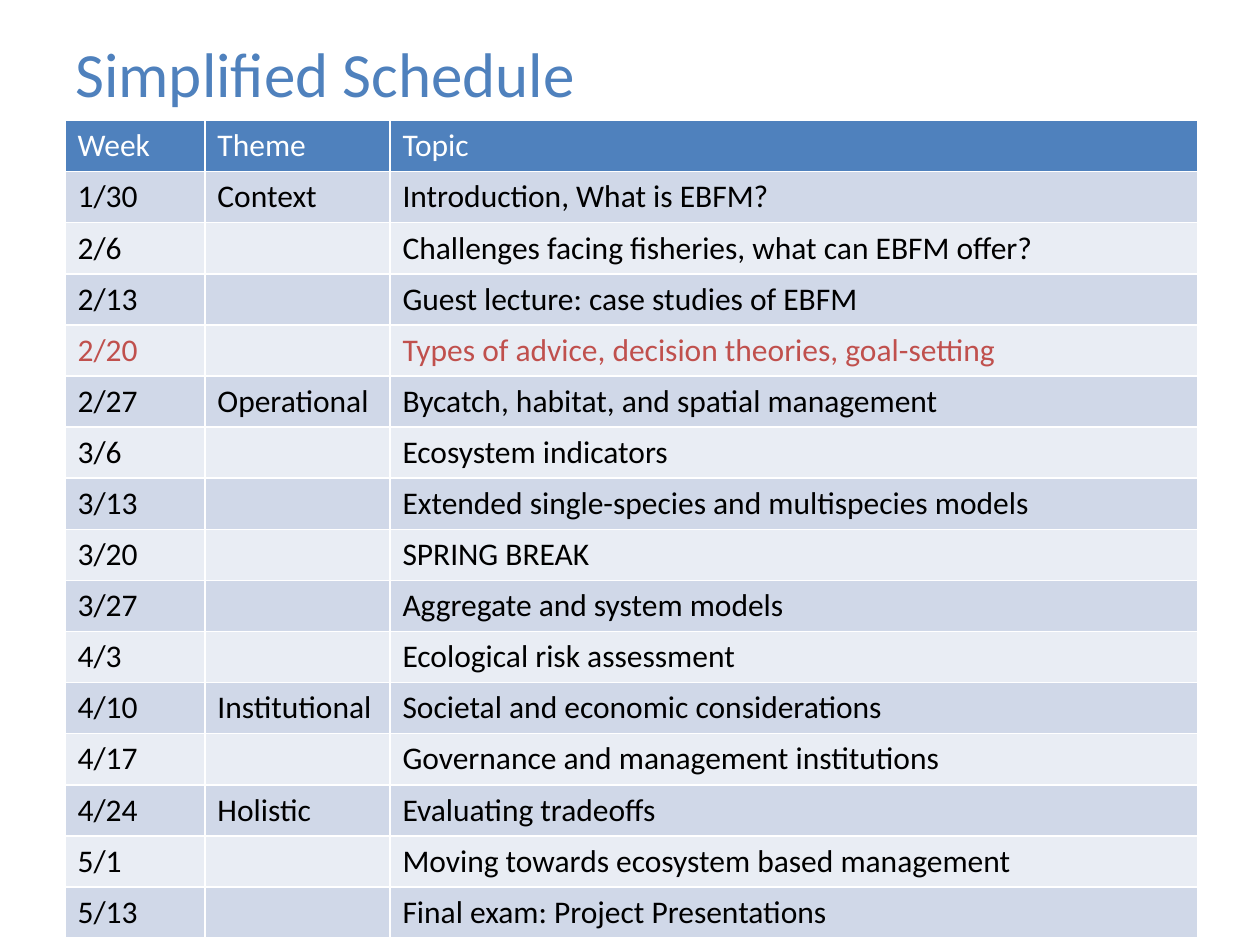
from dataclasses import dataclass

from pptx import Presentation
from pptx.dml.color import RGBColor
from pptx.enum.text import MSO_ANCHOR
from pptx.util import Cm, Pt

MIDDLE = MSO_ANCHOR.MIDDLE


@dataclass(frozen=True)
class Theme:
    """Colours, font and type sizes of the slide."""
    font: str = "Calibri"
    title: int = 36
    body: int = 18
    accent: str = "4F81BD"
    light: str = "FFFFFF"
    dark: str = "000000"
    alert: str = "C0504D"
    bands: tuple = ("D0D8E8", "E9EDF4")


class Deck:
    """Holds the theme and the current slide."""

    def __init__(self, theme):
        """Open a blank slide."""
        self.theme = theme
        self.show = Presentation()
        self.show.slide_width, self.show.slide_height = Cm(25.4), Cm(19.05)
        self.slide = self.show.slides.add_slide(self.show.slide_layouts[6])

    def add_text(self, frame, text, size, color):
        """Add one styled run to the first paragraph."""
        run = frame.paragraphs[0].add_run()
        run.text = text
        font = run.font
        font.name, font.size, font.bold = self.theme.font, Pt(size), False
        font.color.rgb = RGBColor.from_string(color)

    def title(self, text, left, top, width, height):
        """Add the slide title."""
        box = self.slide.shapes.add_textbox(Cm(left), Cm(top), Cm(width), Cm(height))
        frame = box.text_frame
        frame.word_wrap = True
        frame.vertical_anchor = MIDDLE
        self.add_text(frame, text, self.theme.title, self.theme.accent)

    def table(self, rows, left, top, widths, height, marked):
        """Add a banded table with a header and one marked row."""
        theme = self.theme
        grid = self.slide.shapes.add_table(
            len(rows), len(widths), Cm(left), Cm(top),
            Cm(sum(widths)), Cm(height * len(rows))).table
        for column, width in zip(grid.columns, widths):
            column.width = Cm(width)
        for r, row in enumerate(rows):
            grid.rows[r].height = Cm(height)
            fill = theme.bands[(r - 1) % 2] if r else theme.accent
            color = theme.dark if r else theme.light
            if row[0] == marked:
                color = theme.alert
            for c, text in enumerate(row):
                cell = grid.cell(r, c)
                cell.fill.solid()
                cell.fill.fore_color.rgb = RGBColor.from_string(fill)
                if text:
                    self.add_text(cell.text_frame, text, theme.body, color)


ROWS = [
    ("Week", "Theme", "Topic"),
    ("1/30", "Context", "Introduction, What is EBFM?"),
    ("2/6", "", "Challenges facing fisheries, what can EBFM offer?"),
    ("2/13", "", "Guest lecture: case studies of EBFM"),
    ("2/20", "", "Types of advice, decision theories, goal-setting"),
    ("2/27", "Operational", "Bycatch, habitat, and spatial management"),
    ("3/6", "", "Ecosystem indicators"),
    ("3/13", "", "Extended single-species and multispecies models"),
    ("3/20", "", "SPRING BREAK"),
    ("3/27", "", "Aggregate and system models"),
    ("4/3", "", "Ecological risk assessment"),
    ("4/10", "Institutional", "Societal and economic considerations"),
    ("4/17", "", "Governance and management institutions"),
    ("4/24", "Holistic", "Evaluating tradeoffs"),
    ("5/1", "", "Moving towards ecosystem based management"),
    ("5/13", "", "Final exam: Project Presentations"),
]


def main():
    """Build and save the schedule slide."""
    deck = Deck(Theme())
    deck.title("Simplified Schedule", 1.27, 0.5, 22.86, 1.9)
    deck.table(ROWS, 1.31, 2.43, (2.82, 3.73, 16.29), 1.03, "2/20")
    deck.show.save("out.pptx")


if __name__ == "__main__":
    main()
